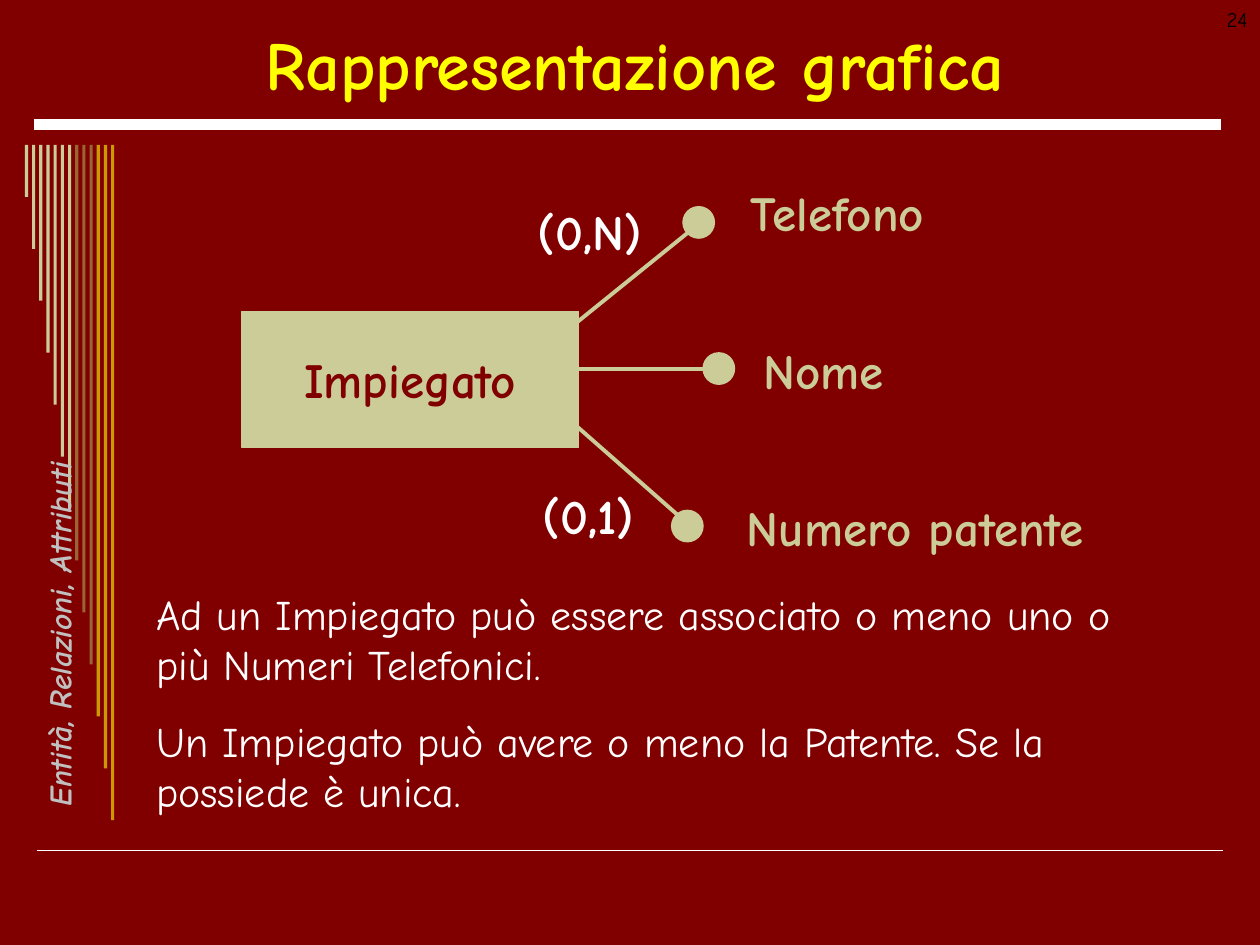
from dataclasses import dataclass

from lxml import etree
from pptx import Presentation
from pptx import util as u
from pptx.dml.color import RGBColor
from pptx.enum import shapes, text
from pptx.oxml.ns import qn

# The slide is a grid of 100 columns by 75 rows, each cell 0.1 inch
COLUMNS, ROWS = 100, 75
FONT = "Comic Neue"
MAROON, SAND, WHITE, YELLOW = "800000", "CCCC99", "FFFFFF", "FFFF00"
BROWN, GOLD, SILVER, BLACK = "996633", "CC9900", "C0C0C0", "000000"


@dataclass
class Box:
    column: float
    row: float
    columns: float
    rows: float

    def lengths(self) -> list[int]:
        return [cells(n) for n in (self.column, self.row, self.columns, self.rows)]


@dataclass
class Style:
    size: float
    color: str
    bold: bool = False
    italic: bool = False
    align: text.PP_ALIGN = text.PP_ALIGN.LEFT
    anchor: text.MSO_ANCHOR = text.MSO_ANCHOR.TOP
    wrap: bool = False


@dataclass
class Attribute:
    name: str
    label: Box
    dot: tuple[float, float]
    start: tuple[float, float]
    end: tuple[float, float]


def cells(count: float) -> int:
    return u.Inches(count / 10)


def rgb(color: str) -> RGBColor:
    return RGBColor.from_string(color)


def write(frame, lines: list[str], style: Style, gap: float = 0) -> None:
    frame.auto_size = text.MSO_AUTO_SIZE.NONE
    frame.word_wrap = style.wrap
    frame.vertical_anchor = style.anchor
    frame.text = "\n".join(lines)
    for index, paragraph in enumerate(frame.paragraphs):
        paragraph.alignment = style.align
        paragraph.space_before = u.Pt(gap if index else 0)
        font = paragraph.font
        font.name, font.size = FONT, u.Pt(style.size)
        font.bold, font.italic = style.bold, style.italic
        font.color.rgb = rgb(style.color)


def place(placeholder, box: Box) -> None:
    (placeholder.left, placeholder.top,
     placeholder.width, placeholder.height) = box.lengths()


def add_label(slide, words: str, box: Box, style: Style):
    label = slide.shapes.add_textbox(*box.lengths())
    write(label.text_frame, [words], style)
    return label


def add_filled(slide, kind, box: Box, color: str, outlined: bool = True):
    shape = slide.shapes.add_shape(kind, *box.lengths())
    shape.shadow.inherit = False
    shape.fill.solid()
    shape.fill.fore_color.rgb = rgb(color)
    if outlined:
        shape.line.color.rgb = rgb(color)
        shape.line.width = u.Pt(0.75)
    else:
        shape.line.fill.background()
    return shape


def add_line(slide, start, end, color: str, width: float) -> None:
    line = slide.shapes.add_connector(
        shapes.MSO_CONNECTOR.STRAIGHT, *map(cells, (*start, *end)))
    line.line.color.rgb = rgb(color)
    line.line.width = u.Pt(width)
    etree.SubElement(line._element.spPr, qn("a:effectLst"))


def add_attribute(slide, attribute: Attribute, style: Style) -> None:
    add_line(slide, attribute.start, attribute.end, SAND, 2.25)
    add_filled(slide, shapes.MSO_SHAPE.OVAL, Box(*attribute.dot, 2.5, 2.5), SAND)
    add_label(slide, attribute.name, attribute.label, style)


def add_stripes(slide) -> None:
    colors = [SAND] * 7 + [BROWN] * 3 + [GOLD] * 3
    longest = 53.6
    for index, color in enumerate(colors):
        length = longest * (index + 1) / len(colors)
        stripe = Box(1.98 + 0.57 * index, 11.5, 0.25, length)
        add_filled(slide, shapes.MSO_SHAPE.RECTANGLE, stripe, color, outlined=False)


def main() -> None:
    deck = Presentation()
    deck.slide_width, deck.slide_height = cells(COLUMNS), cells(ROWS)
    slide = deck.slides.add_slide(deck.slide_layouts[1])
    slide.background.fill.solid()
    slide.background.fill.fore_color.rgb = rgb(MAROON)
    center, middle = text.PP_ALIGN.CENTER, text.MSO_ANCHOR.MIDDLE

    # Title
    title = slide.shapes.title
    place(title, Box(5, 2.1, 90.8, 5.8))
    write(title.text_frame, ["Rappresentazione grafica"],
          Style(39, YELLOW, bold=True, align=center, anchor=middle, wrap=True))

    # Explanation, without bullets
    explanation = slide.placeholders[1]
    place(explanation, Box(11.4, 46.2, 81.9, 19.1))
    sentences = [
        "Ad un Impiegato può essere associato o meno uno o più Numeri Telefonici.",
        "Un Impiegato può avere o meno la Patente. Se la possiede è unica.",
    ]
    write(explanation.text_frame, sentences, Style(24, WHITE, wrap=True), gap=15)
    for paragraph in explanation.text_frame.paragraphs:
        properties = paragraph._p.get_or_add_pPr()
        properties.set("marL", "0")
        properties.set("indent", "0")
        bullet = etree.Element(qn("a:buNone"))
        properties.find(qn("a:defRPr")).addprevious(bullet)

    # Rules, stripes and section name
    add_line(slide, (2.9, 67.5), (97.1, 67.5), WHITE, 1)
    add_line(slide, (2.7, 9.9), (96.9, 9.9), WHITE, 6)
    add_stripes(slide)
    section = add_label(slide, "Entità, Relazioni, Attributi", Box(-7.5, 52.4, 22.8, 2.4),
                        Style(18, SILVER, bold=True, italic=True))
    section.rotation = 270

    # Entity with its attributes
    attributes = [
        Attribute("Telefono", Box(58.6, 14, 16.1, 5.7),
                  (54.2, 16.4), (45.4, 25.9), (54.8, 18.3)),
        Attribute("Nome", Box(59.6, 26.5, 11.5, 5.7),
                  (55.8, 28), (45.8, 29.3), (56.9, 29.3)),
        Attribute("Numero patente", Box(58.3, 39, 28.9, 5.7),
                  (53.3, 40.5), (45.4, 33.5), (54.5, 41.5)),
    ]
    for attribute in attributes:
        add_attribute(slide, attribute, Style(28, SAND, bold=True))
    entity = add_filled(slide, shapes.MSO_SHAPE.RECTANGLE,
                        Box(19.2, 24.7, 26.7, 10.8), SAND)
    write(entity.text_frame, ["Impiegato"],
          Style(28, MAROON, bold=True, align=center, anchor=middle))

    # Cardinalities
    cardinality = Style(28, WHITE, bold=True, align=center, anchor=middle)
    add_label(slide, "(0,N)", Box(41.7, 15.5, 10.2, 5.7), cardinality)
    add_label(slide, "(0,1)", Box(42.1, 38, 9.2, 5.7), cardinality)

    # Page number
    add_label(slide, "24", Box(76.7, 0, 23.3, 5),
              Style(12, BLACK, align=text.PP_ALIGN.RIGHT, wrap=True))

    deck.save("out.pptx")


if __name__ == "__main__":
    main()
